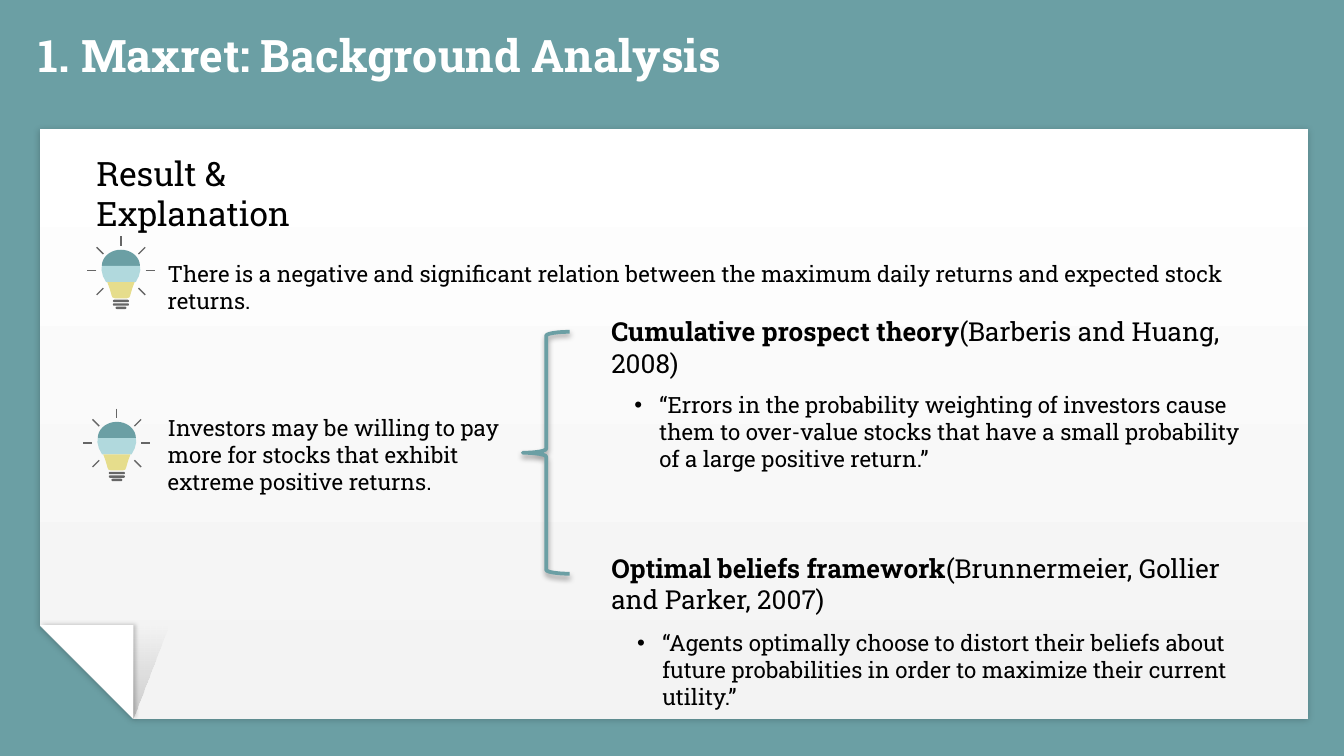
"""Build the Maxret background analysis slide."""
import math
from dataclasses import dataclass

import lxml.etree
import pptx
import pptx.dml.color
import pptx.enum.dml
import pptx.enum.shapes
import pptx.enum.text
import pptx.oxml.ns
import pptx.util

Pt = pptx.util.Pt
qn = pptx.oxml.ns.qn
SHAPE = pptx.enum.shapes.MSO_SHAPE
FONT = "Roboto Slab"
COLORS = {
    "teal": "6B9FA4",
    "sky": "B1D9DD",
    "yellow": "E6DD8C",
    "gray": "666666",
    "white": "FFFFFF",
    "mist": "F3F3F3",
    "black": "000000",
}


@dataclass
class Box:
    left: float
    top: float
    width: float
    height: float

    def lengths(self) -> tuple:
        return tuple(Pt(v) for v in (self.left, self.top, self.width, self.height))


@dataclass
class Run:
    text: str
    size: float = 12
    bold: bool = False
    color: str = "black"


@dataclass
class Note:
    box: Box
    runs: list


@dataclass
class Shadow:
    alpha: int
    blur: float
    distance: float
    angle: int


@dataclass
class Profile:
    color: str
    half: list


@dataclass
class Ray:
    x1: float
    y1: float
    x2: float
    y2: float


@dataclass
class Thread:
    top: float
    width: float


DOME = [(-10.2 * math.sin(math.radians(a)), 15.8 - 8.7 * math.cos(math.radians(a)))
        for a in range(0, 91, 10)]
PROFILES = [
    Profile("teal", DOME),
    Profile("sky", [(-10.2, 15.8), (-10.4, 18), (-9.6, 21.3), (-7.9, 24.5)]),
    Profile("yellow", [(-7.3, 24.5), (-6, 28), (-5, 31.6), (-4.5, 32.7), (-3.2, 33.1)]),
]
SIDE_RAYS = [Ray(9.4, 9.4, 13, 5.8), Ray(13.2, 18.4, 18, 18.4), Ray(9.4, 27.7, 13, 31.3)]
RAYS = ([Ray(0, 0, 0, 5)] + SIDE_RAYS
        + [Ray(-r.x1, r.y1, -r.x2, r.y2) for r in SIDE_RAYS])
THREADS = [Thread(33.9, 8.6), Thread(35.8, 8.6), Thread(37.6, 5.8)]
BULBS = [(64.8, 126.7), (62.6, 218.9)]

NOTES = [
    Note(Box(44.6, 78.5, 185.8, 28.8), [Run("Result & Explanation", 18)]),
    Note(Box(82.8, 136.1, 604.8, 21.6), [Run(
        "There is a negative and significant relation between the maximum daily "
        "returns and expected stock returns.")]),
    Note(Box(82.8, 218.2, 192.2, 51.1), [Run(
        "Investors may be willing to pay more for stocks that exhibit extreme "
        "positive returns.")]),
    Note(Box(320.4, 165.6, 375.1, 41), [
        Run("Cumulative prospect theory", 14, True),
        Run("(Barberis and Huang, 2008)", 14)]),
    Note(Box(320.4, 292.3, 356.4, 41), [
        Run("Optimal beliefs framework", 14, True),
        Run("(Brunnermeier, Gollier and Parker, 2007)", 14)]),
]
QUOTES = [
    Note(Box(332.6, 205.9, 349.9, 51.1), [Run(
        "“Errors in the probability weighting of investors cause them to over-value "
        "stocks that have a small probability of a large positive return.”")]),
    Note(Box(334.1, 333.4, 356.4, 51.1), [Run(
        "“Agents optimally choose to distort their beliefs about future probabilities "
        "in order to maximize their current utility.”")]),
]
TITLE = Note(Box(20.9, 2.9, 661.7, 41),
             [Run("1. Maxret: Background Analysis", 24, True, "white")])


def rgb(name: str) -> pptx.dml.color.RGBColor:
    return pptx.dml.color.RGBColor.from_string(COLORS[name])


def paint(sp, color: str) -> None:
    sp.shadow.inherit = False
    sp.fill.solid()
    sp.fill.fore_color.rgb = rgb(color)
    sp.line.fill.background()


def paint_gradient(sp, colors: tuple, angle: int, alphas: tuple = ()) -> None:
    sp.shadow.inherit = False
    sp.fill.gradient()
    sp.fill.gradient_angle = angle
    sp.line.fill.background()
    for stop, color in zip(sp.fill.gradient_stops, colors):
        stop.color.rgb = rgb(color)
    for clr, alpha in zip(sp.element.spPr.iter(qn("a:srgbClr")), alphas):
        lxml.etree.SubElement(clr, qn("a:alpha"), val=str(alpha * 1000))


def cast(sp, shadow: Shadow) -> None:
    sp.shadow.inherit = False
    effects = sp.element.spPr.find(qn("a:effectLst"))
    outer = lxml.etree.SubElement(
        effects, qn("a:outerShdw"), blurRad=str(Pt(shadow.blur)),
        dist=str(Pt(shadow.distance)), dir=str(shadow.angle * 60000), rotWithShape="0")
    clr = lxml.etree.SubElement(outer, qn("a:srgbClr"), val=COLORS["black"])
    lxml.etree.SubElement(clr, qn("a:alpha"), val=str(shadow.alpha * 1000))


def write(sp, note: Note):
    sp.left, sp.top, sp.width, sp.height = note.box.lengths()
    tf = sp.text_frame
    tf.word_wrap = True
    tf.auto_size = pptx.enum.text.MSO_AUTO_SIZE.NONE
    p = tf.paragraphs[0]
    p.alignment = pptx.enum.text.PP_ALIGN.LEFT
    p.space_before = Pt(0)
    for run in note.runs:
        r = p.add_run()
        r.text = run.text
        r.font.name, r.font.size, r.font.bold = FONT, Pt(run.size), run.bold
        r.font.color.rgb = rgb(run.color)
    return tf


def add_bullet(p) -> None:
    pPr = p._p.get_or_add_pPr()
    pPr.set("marL", str(Pt(13.5)))
    pPr.set("indent", str(-Pt(13.5)))
    clr = lxml.etree.SubElement(pPr, qn("a:buClr"))
    lxml.etree.SubElement(clr, qn("a:srgbClr"), val=COLORS["black"])
    lxml.etree.SubElement(pPr, qn("a:buFont"), typeface="Arial")
    lxml.etree.SubElement(pPr, qn("a:buChar"), char="•")


def draw_paper(s) -> None:
    group = s.shapes.add_group_shape()
    sheet = group.shapes.add_shape(SHAPE.SNIP_1_RECTANGLE, *Box(21.5, 69.1, 679.5, 316).lengths())
    sheet.adjustments[0] = 0.158
    paint_gradient(sheet, ("white", "mist"), 90)
    cast(sheet, Shadow(20, 3.4, 0.8, 90))
    fold = group.shapes.add_shape(SHAPE.RIGHT_TRIANGLE, *Box(21.5, 334.9, 50, 50.2).lengths())
    paint(fold, "white")
    cast(fold, Shadow(20, 2.2, 0.8, 0))
    crease = group.shapes.add_shape(SHAPE.RIGHT_TRIANGLE, *Box(71.5, 334.9, 18.5, 50.2).lengths())
    paint_gradient(crease, ("black", "black"), 270, (17, 0))
    crease.element.spPr.find(qn("a:xfrm")).set("flipH", "1")
    for sp in (sheet, fold, crease):
        sp.rotation = 180
    group.element.getparent().insert(2, group.element)


def draw_bulb(s, x: float, y: float) -> None:
    shapes = s.shapes.add_group_shape().shapes
    for profile in PROFILES:
        outline = profile.half + [(-dx, dy) for dx, dy in reversed(profile.half)]
        points = [(Pt(x + dx), Pt(y + dy)) for dx, dy in outline]
        builder = shapes.build_freeform(*points[0])
        builder.add_line_segments(points[1:])
        paint(builder.convert_to_shape(), profile.color)
    for ray in RAYS:
        line = shapes.add_connector(
            pptx.enum.shapes.MSO_CONNECTOR.STRAIGHT,
            Pt(x + ray.x1), Pt(y + ray.y1), Pt(x + ray.x2), Pt(y + ray.y2))
        line.line.color.rgb = rgb("gray")
        line.line.width = Pt(0.7)
        lxml.etree.SubElement(line.element.spPr, qn("a:effectLst"))
    for thread in THREADS:
        box = Box(x - thread.width / 2, y + thread.top, thread.width, 1.3)
        sp = shapes.add_shape(SHAPE.ROUNDED_RECTANGLE, *box.lengths())
        sp.adjustments[0] = 0.5
        paint(sp, "gray")


def draw_brace(s) -> None:
    sp = s.shapes.add_shape(SHAPE.LEFT_BRACE, *Box(280, 177.8, 25.2, 129.6).lengths())
    sp.fill.background()
    sp.line.color.rgb = rgb("teal")
    sp.line.width = Pt(2)
    cast(sp, Shadow(38, 3.1, 1.6, 90))


def main() -> None:
    prs = pptx.Presentation()
    prs.slide_width, prs.slide_height = Pt(720), Pt(405)
    s = prs.slides.add_slide(prs.slide_layouts.get_by_name("Two Content"))
    s.background.fill.solid()
    s.background.fill.fore_color.rgb = rgb("teal")
    title, *bodies = s.placeholders
    tf = write(title, TITLE)
    tf.margin_left = tf.margin_right = tf.margin_top = tf.margin_bottom = 0
    tf.vertical_anchor = pptx.enum.text.MSO_ANCHOR.BOTTOM
    for body, quote in zip(bodies, QUOTES):
        add_bullet(write(body, quote).paragraphs[0])
    draw_paper(s)
    for note in NOTES:
        write(s.shapes.add_textbox(*note.box.lengths()), note)
    for x, y in BULBS:
        draw_bulb(s, x, y)
    draw_brace(s)
    prs.save("out.pptx")


if __name__ == "__main__":
    main()
